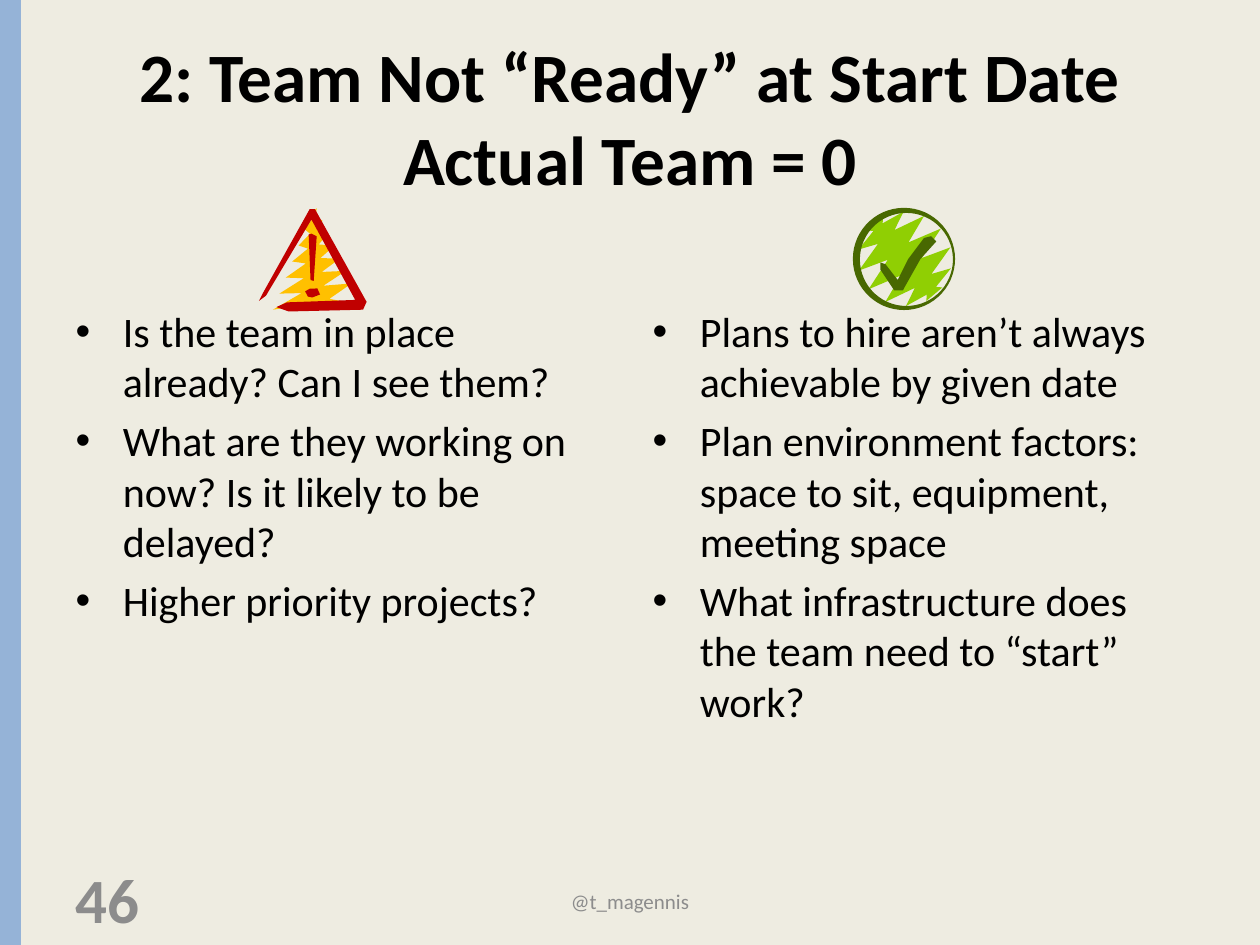
"""Builds the slide about a team that is not ready at the start date."""
import math

from lxml import etree
from pptx import Presentation
from pptx import util as u
from pptx.dml.color import RGBColor
from pptx.enum import shapes, text
from pptx.oxml.ns import qn


def rgb(value):
    return RGBColor.from_string(value)


def on_circle(center, radius, degrees):
    angle = math.radians(degrees)
    return center[0] + radius * math.cos(angle), center[1] - radius * math.sin(angle)


prs = Presentation()
prs.slide_width, prs.slide_height = u.Pt(720), u.Pt(540)
s = prs.slides.add_slide(prs.slide_layouts[3])
s.background.fill.solid()
s.background.fill.fore_color.rgb = rgb("EEECE1")

band = s.shapes.add_shape(shapes.MSO_SHAPE.RECTANGLE, 0, 0, u.Pt(12), u.Pt(540))
filled = [(band, "95B3D7")]

title = s.shapes.title
title.left, title.top, title.width, title.height = u.Pt(36), u.Pt(21.6), u.Pt(648), u.Pt(90)
tf = title.text_frame
tf.vertical_anchor = text.MSO_ANCHOR.MIDDLE
p = tf.paragraphs[0]
p.alignment = text.PP_ALIGN.CENTER
for i, line in enumerate(["2: Team Not “Ready” at Start Date", "Actual Team = 0"]):
    if i:
        p.add_line_break()
    r = p.add_run()
    r.text = line
    r.font.name, r.font.size, r.font.bold = "Calibri", u.Pt(39.6), True
    r.font.color.rgb = rgb("000000")

columns = [
    (1, 36, ["Is the team in place already? Can I see them?",
             "What are they working on now? Is it likely to be delayed?",
             "Higher priority projects?"]),
    (2, 365.7, ["Plans to hire aren’t always achievable by given date",
                "Plan environment factors: space to sit, equipment, meeting space",
                "What infrastructure does the team need to “start” work?"]),
]
for idx, left, items in columns:
    body = s.placeholders[idx]
    body.left, body.top, body.width, body.height = u.Pt(left), u.Pt(171), u.Pt(318), u.Pt(311)
    tf = body.text_frame
    tf.word_wrap = True
    for i, item in enumerate(items):
        p = tf.add_paragraph() if i else tf.paragraphs[0]
        pPr = p._p.get_or_add_pPr()
        pPr.set("marL", str(u.Pt(27)))
        pPr.set("indent", str(u.Pt(-27)))
        etree.SubElement(pPr, qn("a:buFont")).set("typeface", "Arial")
        etree.SubElement(pPr, qn("a:buChar")).set("char", "•")
        p.space_before = u.Pt(4.8 if i else 0)
        r = p.add_run()
        r.text = item
        r.font.name, r.font.size = "Calibri", u.Pt(24)
        r.font.color.rgb = rgb("000000")

footers = [
    ("@t_magennis", 246, 500.4, 228, 12, False, text.PP_ALIGN.CENTER),
    ("46", 36, 499, 168, 36, True, text.PP_ALIGN.LEFT),
]
for words, left, top, width, size, bold, align in footers:
    sp = s.shapes.add_textbox(u.Pt(left), u.Pt(top), u.Pt(width), u.Pt(28.8))
    tf = sp.text_frame
    tf.word_wrap = True
    tf.vertical_anchor = text.MSO_ANCHOR.MIDDLE
    p = tf.paragraphs[0]
    p.alignment = align
    r = p.add_run()
    r.text = words
    r.font.name, r.font.size, r.font.bold = "Calibri", u.Pt(size), bold
    r.font.color.rgb = rgb("8C8C8C")

strokes = 7
slant = 130
disc = (517, 148)
sweep = [180 * (k + 0.5) / strokes for k in range(strokes)]
disc_left = [on_circle(disc, 27, slant + turn) for turn in sweep]
disc_right = [on_circle(disc, 27, slant - turn) for turn in sweep]
ring = ([on_circle((516.6, 148), 29.2, turn) for turn in range(0, 361, 6)]
        + [on_circle((518, 148.3), 26.6, turn) for turn in range(360, -1, -6)])
check = [(503, 150), (506, 151), (513, 160), (519, 148), (528, 136), (532, 135),
         (535, 138), (526, 148), (517, 164), (516, 166), (511, 166), (503, 154)]

steps = [k / (strokes - 1) for k in range(strokes)]
sign_left = [(178 - 22 * t, 122 + 55 * t) for t in steps] + [(175, 177)]
sign_right = [(181 + 20 * t, 119 + 43 * t) for t in steps] + [(200, 173)]
mark_bar = [(176.4, 134), (178, 133.5), (181, 135), (179.3, 160.5), (177.5, 160)]
mark_dot = [(174.4, 166.5), (177, 165), (181.4, 164.8), (182.9, 168.3), (178.5, 170), (176, 169.5)]
sign = [(177, 119.5), (180, 119.5), (209.5, 172.5), (207.5, 177), (165, 178), (158, 175.5),
        (164, 172.8), (203, 171.4), (178, 125.5), (152, 169), (148, 172), (150, 168)]

icons = [
    (disc_left, disc_right, "90CF03", "486801", [ring, check]),
    (sign_left, sign_right, "FFC000", "C00000", [mark_bar, mark_dot, sign]),
]
notch_depth = 0.35
for left_tips, right_tips, light, dark, outlines in icons:
    scribble = []
    for tips, facing in ((left_tips, right_tips), (right_tips, left_tips)):
        edge = []
        for k, tip in enumerate(tips):
            if k:
                edge.append(tuple((1 - notch_depth) * (tips[k - 1][axis] + tip[axis]) / 2
                                  + notch_depth * (facing[k - 1][axis] + facing[k][axis]) / 2
                                  for axis in (0, 1)))
            edge.append(tip)
        scribble += edge[::-1] if scribble else edge
    group = s.shapes.add_group_shape()
    for points, fill in [(scribble, light)] + [(outline, dark) for outline in outlines]:
        scaled = [(100 * x, 100 * y) for x, y in points]
        builder = group.shapes.build_freeform(*scaled[0], scale=u.Pt(0.01))
        builder.add_line_segments(scaled[1:], close=True)
        filled.append((builder.convert_to_shape(), fill))

for sp, fill in filled:
    sp.shadow.inherit = False
    sp.fill.solid()
    sp.fill.fore_color.rgb = rgb(fill)
    sp.line.fill.background()

prs.save("out.pptx")
